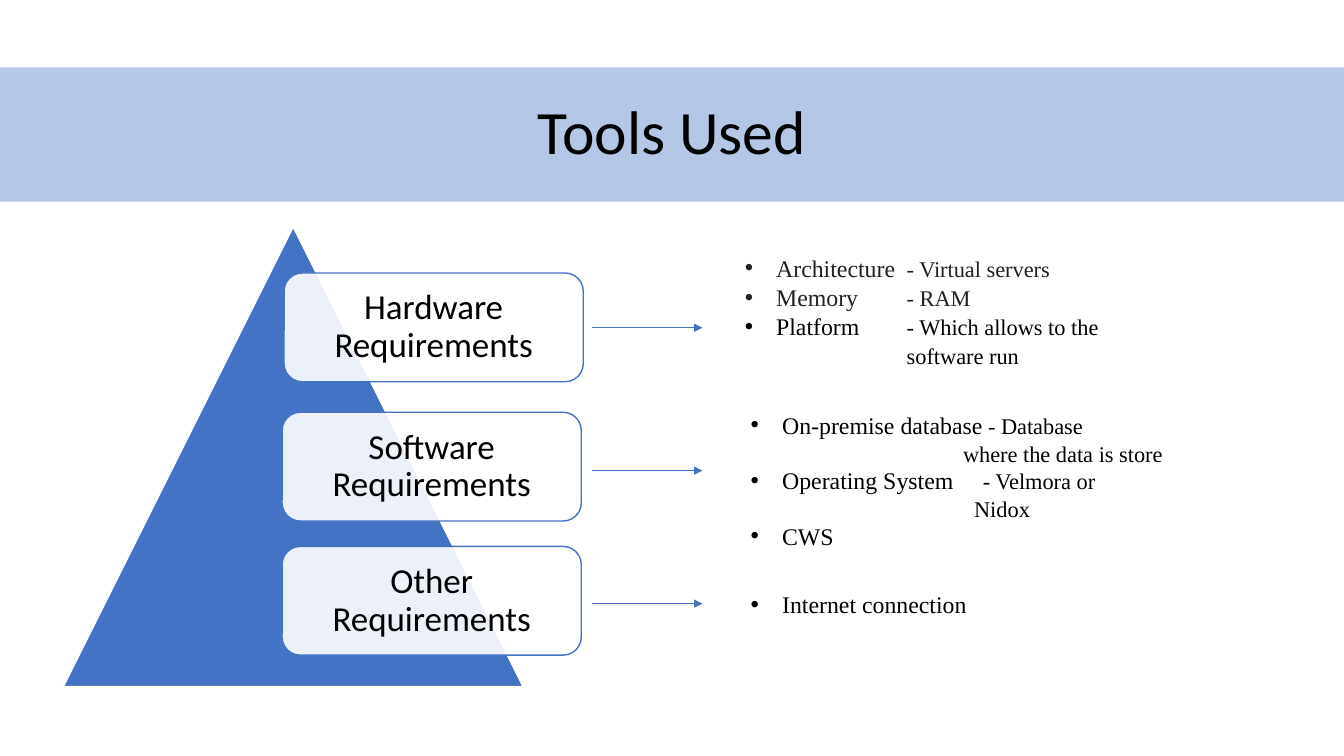
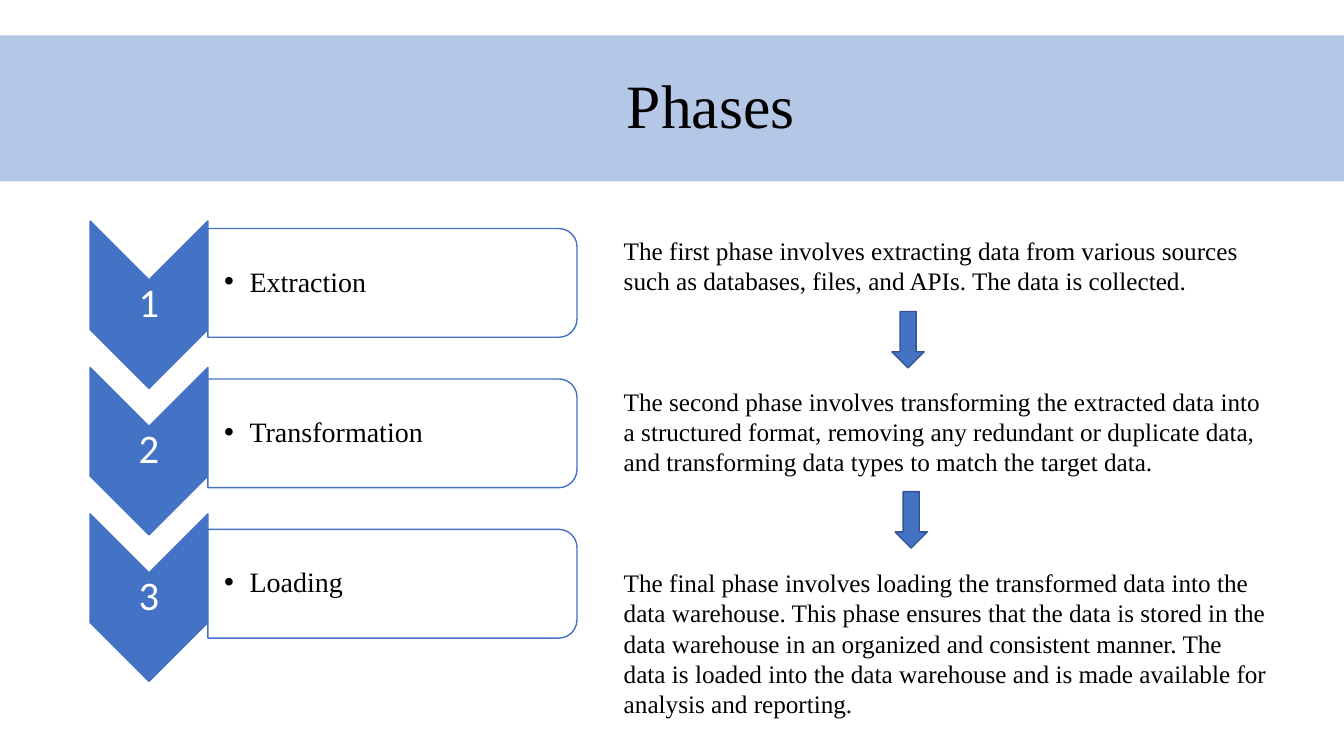
import dataclasses

import pptx
import pptx.dml.color
import pptx.enum.dml
import pptx.enum.shapes
import pptx.enum.text
import pptx.oxml
import pptx.oxml.ns
import pptx.util

Cm = pptx.util.Cm
Pt = pptx.util.Pt
SHAPE = pptx.enum.shapes.MSO_SHAPE
ALIGN = pptx.enum.text.PP_ALIGN
ANCHOR = pptx.enum.text.MSO_ANCHOR


@dataclasses.dataclass(frozen=True)
class Theme:
    band: str = "B4C7E7"
    accent: str = "4472C4"
    accent_edge: str = "325491"
    white: str = "FFFFFF"
    black: str = "000000"
    charcoal: str = "202124"
    sans: str = "Calibri"
    serif: str = "Times New Roman"
    title: float = 44
    number: float = 29
    box_label: float = 25
    phase: float = 20
    body: float = 18
    item: float = 17
    detail: float = 16
    tight: float = 0.9


THEME = Theme()
PAGE_WIDTH, PAGE_HEIGHT = 33.87, 19.05


def rgb(value):
    return pptx.dml.color.RGBColor.from_string(value)


def sub_element(parent, tag, **attributes):
    child = pptx.oxml.parse_xml(f"<{tag} {pptx.oxml.ns.nsdecls('a')}/>")
    for name, value in attributes.items():
        child.set(name, str(value))
    parent.append(child)
    return child


# Shared building parts; every box is (left, top, width, height) in cm

def add_box(page, kind, box, fill, line=None, opacity=100, rotation=0):
    shape = page.shapes.add_shape(kind, *map(Cm, box))
    shape.shadow.inherit = False
    shape.rotation = rotation
    shape.fill.solid()
    shape.fill.fore_color.rgb = rgb(fill)
    if opacity < 100:
        color = shape._element.spPr.find(".//" + pptx.oxml.ns.qn("a:srgbClr"))
        sub_element(color, "a:alpha", val=opacity * 1000)
    if line:
        shape.line.color.rgb = rgb(line)
        shape.line.width = Pt(1)
    else:
        shape.line.fill.background()
    return shape


def set_frame(shape, anchor=ANCHOR.MIDDLE, insets=(0, 0, 0, 0)):
    frame = shape.text_frame
    frame.word_wrap = True
    frame.vertical_anchor = anchor
    (frame.margin_left, frame.margin_top,
     frame.margin_right, frame.margin_bottom) = map(Cm, insets)
    return frame


def add_text_frame(page, box, **options):
    return set_frame(page.shapes.add_textbox(*map(Cm, box)), **options)


def write(frame, text, size, font=THEME.serif, color=THEME.black, align=ALIGN.LEFT,
          spacing=None, before=0, after=0, indent=0, bullet=0):
    """Add a paragraph; bullet is the hanging indent in cm."""
    first = frame.paragraphs[0]
    para = frame.add_paragraph() if first.runs else first
    para.alignment = align
    para.space_before, para.space_after = Pt(before), Pt(after)
    if spacing:
        para.line_spacing = spacing
    properties = para._p.get_or_add_pPr()
    properties.set("marL", str(Cm(indent + bullet)))
    properties.set("indent", str(-Cm(bullet)))
    if bullet:
        sub_element(properties, "a:buFont", typeface="Arial")
        sub_element(properties, "a:buChar", char="•")
    span = para.add_run()
    span.text = text
    span.font.size = Pt(size)
    span.font.name = font
    span.font.color.rgb = rgb(color)


def add_title(page, text, top, height, font, shift=0):
    band = add_box(page, SHAPE.RECTANGLE, (0, top, PAGE_WIDTH, height), THEME.band)
    frame = set_frame(band, insets=(0.25 + 2 * shift, 0.13, 0.25, 0.13))
    write(frame, text, THEME.title, font=font, align=ALIGN.CENTER, spacing=THEME.tight)


def add_arrow(page, left, right, y):
    arrow = page.shapes.add_connector(
        pptx.enum.shapes.MSO_CONNECTOR.STRAIGHT, Cm(left), Cm(y), Cm(right), Cm(y))
    arrow.line.color.rgb = rgb(THEME.accent)
    arrow.line.width = Pt(0.5)
    sub_element(arrow.line._get_or_add_ln(), "a:tailEnd", type="triangle")
    sub_element(arrow._element.spPr, "a:effectLst")


# Tools slide

@dataclasses.dataclass(frozen=True)
class Requirement:
    label: str
    box: tuple
    arrow_y: float
    notes: tuple          # left and top of the notes
    leading: float        # line height in points
    items: list           # (text, lines taken, colour)
    details: list         # (text, indent in cm, colour)
    detail_offset: float = 0


REQUIREMENTS = [
    Requirement(
        "Hardware Requirements", (7.16, 6.88, 7.54, 2.74), 8.26, (18.77, 6.37), 20.8,
        [("Architecture", 1, THEME.charcoal), ("Memory", 1, THEME.charcoal),
         ("Platform", 1, THEME.black)],
        [("- Virtual servers", 0, THEME.charcoal), ("- RAM", 0, THEME.charcoal),
         ("- Which allows to the", 0, THEME.black), ("software run", 0, THEME.black)],
        4.08),
    Requirement(
        "Software Requirements", (7.11, 10.39, 7.54, 2.74), 11.86, (18.92, 10.36), 19.8,
        [("On-premise database", 2, THEME.black), ("Operating System", 2, THEME.black),
         ("CWS", 1, THEME.black)],
        [("- Database", 0.63, THEME.black), ("where the data is store", 0, THEME.black),
         ("- Velmora or", 0.5, THEME.black), ("Nidox", 0.28, THEME.black)],
        5.35),
    Requirement(
        "Other Requirements", (7.11, 13.77, 7.54, 2.74), 15.21, (18.92, 14.88), 19.8,
        [("Internet connection", 1, THEME.black)], []),
]


def add_notes(page, requirement):
    left, top = requirement.notes
    leading = requirement.leading
    line_height = leading * 2.54 / 72

    # Bulleted items
    height = line_height * sum(lines for _, lines, _ in requirement.items)
    frame = add_text_frame(page, (left, top, 6.2, height), anchor=ANCHOR.TOP)
    for text, lines, color in requirement.items:
        write(frame, text, THEME.item, color=color, spacing=Pt(leading),
              after=leading * (lines - 1), bullet=0.79)

    # Details beside the items
    if requirement.details:
        height = line_height * len(requirement.details)
        box = (left + requirement.detail_offset, top, 7, height)
        frame = add_text_frame(page, box, anchor=ANCHOR.TOP)
        for text, indent, color in requirement.details:
            write(frame, text, THEME.detail, color=color, spacing=Pt(leading),
                  indent=indent)


def add_requirement(page, requirement):
    panel = add_box(page, SHAPE.ROUNDED_RECTANGLE, requirement.box, THEME.white,
                    line=THEME.accent, opacity=90)
    frame = set_frame(panel, insets=(0.38, 0.38, 0.38, 0.38))
    write(frame, requirement.label, THEME.box_label, font=THEME.sans,
          align=ALIGN.CENTER, spacing=THEME.tight)
    add_arrow(page, 14.91, 17.7, requirement.arrow_y)
    add_notes(page, requirement)


def build_tools(page):
    add_title(page, "Tools Used", 1.7, 3.38, THEME.sans)
    add_box(page, SHAPE.ISOSCELES_TRIANGLE, (1.6, 5.72, 11.58, 11.58),
            THEME.accent, line=THEME.white)
    for requirement in REQUIREMENTS:
        add_requirement(page, requirement)


# Phases slide

PHASES = [
    ("Extraction",
     "The first phase involves extracting data from various sources such as databases, "
     "files, and APIs. The data is collected."),
    ("Transformation",
     "The second phase involves transforming the extracted data into a structured format, "
     "removing any redundant or duplicate data, and transforming data types to match the "
     "target data."),
    ("Loading",
     "The final phase involves loading the transformed data into the data warehouse. This "
     "phase ensures that the data is stored in the data warehouse in an organized and "
     "consistent manner. The data is loaded into the data warehouse and is made available "
     "for analysis and reporting."),
]


def add_turned(page, kind, box, fill, **options):
    """Draw a shape turned clockwise by 90 degrees so that it fills the box."""
    left, top, width, height = box
    shift = (width - height) / 2
    add_box(page, kind, (left + shift, top - shift, height, width), fill,
            line=THEME.accent, rotation=90, **options)


def add_phase_list(page, box):
    left, top, width, _ = box
    chevron_width, chevron_height = 2.97, 4.22
    for index, (name, _) in enumerate(PHASES):
        # Numbered chevron
        chevron_top = top + index * 3.69
        add_turned(page, SHAPE.CHEVRON,
                   (left, chevron_top, chevron_width, chevron_height), THEME.accent)
        frame = add_text_frame(page, (left, chevron_top + 1.46, chevron_width, 1.27))
        write(frame, str(index + 1), THEME.number, font=THEME.sans, color=THEME.white,
              align=ALIGN.CENTER, spacing=THEME.tight)

        # Phase name
        panel = (left + chevron_width, top + 0.19 + index * 3.79,
                 width - chevron_width, 2.74)
        add_turned(page, SHAPE.ROUND_2_SAME_RECTANGLE, panel, THEME.white, opacity=90)
        frame = add_text_frame(page, panel, insets=(0.41, 0, 0, 0))
        write(frame, name, THEME.phase, spacing=THEME.tight, bullet=0.64)


def add_descriptions(page, box):
    left, top, _, _ = box
    leading = THEME.body * 1.2
    frame = add_text_frame(page, box, anchor=ANCHOR.TOP, insets=(0.25, 0.13, 0.25, 0.13))
    for index, (_, description) in enumerate(PHASES):
        write(frame, description, THEME.body, spacing=Pt(leading),
              before=3 * leading if index else 0)
    for x, y in [(7.01, 2.06), (7.09, 6.6)]:
        add_box(page, SHAPE.DOWN_ARROW, (left + x, top + y, 0.81, 1.42),
                THEME.accent, line=THEME.accent_edge)


def build_phases(page):
    add_title(page, "Phases", 0.89, 3.68, THEME.serif, shift=0.98)
    add_phase_list(page, (2.27, 5.57, 12.27, 11.6))
    add_descriptions(page, (15.47, 5.79, 16.74, 12.57))


def main():
    deck = pptx.Presentation()
    deck.slide_width, deck.slide_height = Cm(PAGE_WIDTH), Cm(PAGE_HEIGHT)
    for build in (build_tools, build_phases):
        build(deck.slides.add_slide(deck.slide_layouts[6]))
    deck.save("out.pptx")


if __name__ == "__main__":
    main()
